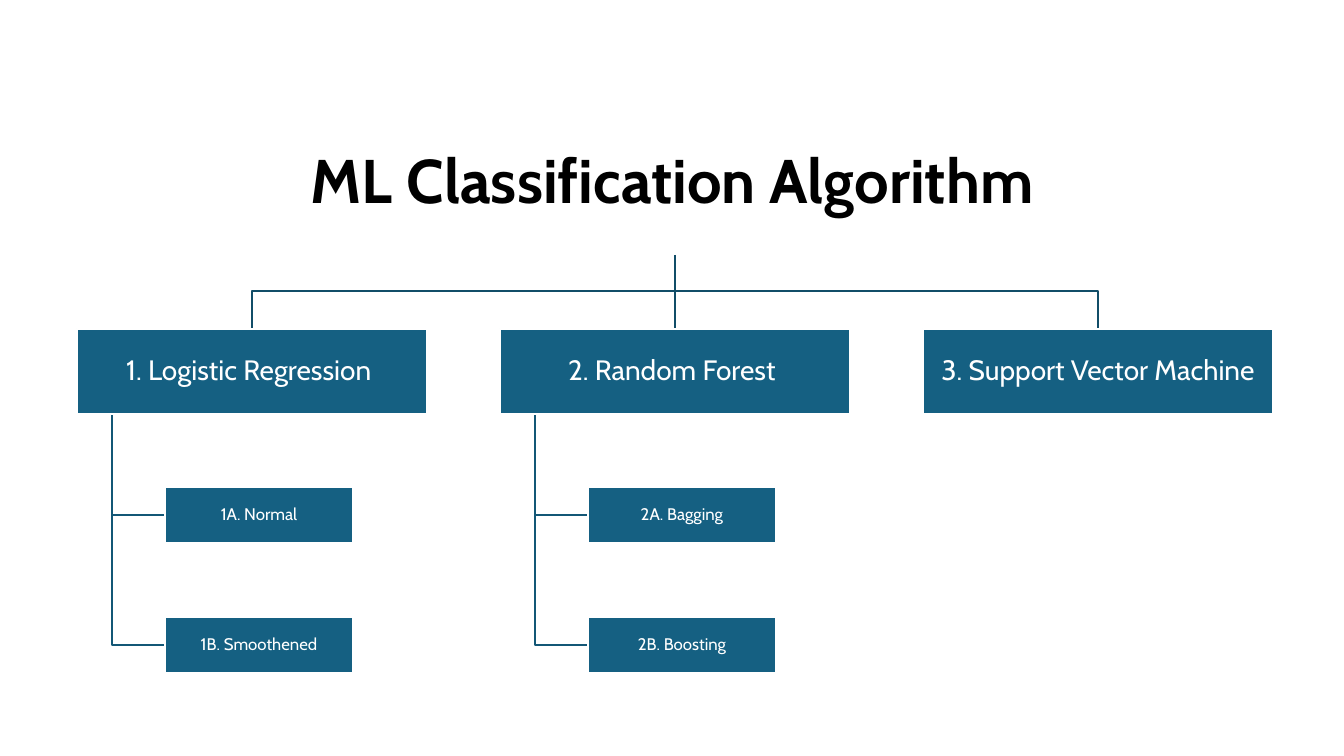
from lxml.etree import SubElement
from pptx import Presentation
from pptx.dml.color import RGBColor
from pptx.enum.shapes import MSO_CONNECTOR as CONNECTOR, MSO_SHAPE as SHAPE
from pptx.enum.text import MSO_ANCHOR as ANCHOR, MSO_AUTO_SIZE as AUTO_SIZE, PP_ALIGN as ALIGN
from pptx.oxml.ns import qn
from pptx.util import Pt

PX = 12192000 / 1344
FONT = "Cabin"
COLORS = {"box": "156082", "white": "FFFFFF", "title": "000000",
          "trunk": "114D68", "twig": "135776"}
BRANCHES = [
    ("1. Logistic Regression ", ["1A. Normal", "1B. Smoothened"]),
    ("2. Random Forest ", ["2A. Bagging", "2B. Boosting"]),
    ("3. Support Vector Machine", []),
]


def px(length):
    """Turn px into EMU."""
    return round(length * PX)


def color(key):
    """Look up a named colour."""
    return RGBColor.from_string(COLORS[key])


def style_line(line, key):
    """Give a line its colour and width."""
    line.color.rgb = color(key)
    line.width = Pt(1.5)


def write(frame, words, size, key, bold, inset):
    """Fill a text frame with one centred paragraph."""
    layout = {"word_wrap": True, "auto_size": AUTO_SIZE.NONE, "vertical_anchor": ANCHOR.MIDDLE}
    for side in ("left", "right", "top", "bottom"):
        layout[f"margin_{side}"] = px(inset)
    for name, value in layout.items():
        setattr(frame, name, value)
    paragraph = frame.paragraphs[0]
    paragraph.alignment = ALIGN.CENTER
    paragraph.line_spacing = 0.9
    run = paragraph.add_run()
    run.text = words
    for name, value in {"name": FONT, "size": Pt(size), "bold": bold}.items():
        setattr(run.font, name, value)
    run.font.color.rgb = color(key)


def add_heading(slide, left, top, width, height):
    """Place the slide title."""
    heading = slide.shapes.title
    for name, value in zip(("left", "top", "width", "height"), (left, top, width, height)):
        setattr(heading, name, px(value))
    write(heading.text_frame, "ML Classification Algorithm", 44, "title", True, 5)


def add_elbow(slide, points, key):
    """Draw an open bent line through the points."""
    builder = slide.shapes.build_freeform(*points[0], scale=PX)
    builder.add_line_segments(points[1:], close=False)
    elbow = builder.convert_to_shape()
    elbow.shadow.inherit = False
    elbow.fill.background()
    style_line(elbow.line, key)


def add_stem(slide, x, top, bottom):
    """Draw the straight line down to the middle branch."""
    stem = slide.shapes.add_connector(CONNECTOR.STRAIGHT, px(x), px(top), px(x), px(bottom))
    SubElement(stem._element.spPr, qn("a:effectLst"))
    style_line(stem.line, "trunk")


def add_node(slide, words, size, left, top, width, height):
    """Draw one labelled box."""
    node = slide.shapes.add_shape(SHAPE.RECTANGLE, px(left), px(top), px(width), px(height))
    node.shadow.inherit = False
    node.fill.solid()
    node.fill.fore_color.rgb = color("box")
    style_line(node.line, "white")
    write(node.text_frame, words, size, "white", False, 1)


def add_branch(slide, words, leaves, left, top, width, height):
    """Draw a branch box with its leaves hanging below."""
    leaf_left, leaf_width, leaf_height = left + 88, 188, 56
    leaf_tops = [top + 158 + 130 * row for row in range(len(leaves))]
    twig_x, bottom = left + 35, top + height
    for leaf_top in leaf_tops:
        middle = leaf_top + leaf_height // 2
        add_elbow(slide, [(twig_x, bottom), (twig_x, middle), (leaf_left, middle)], "twig")
    add_node(slide, words, 20, left, top, width, height)
    for leaf, leaf_top in zip(leaves, leaf_tops):
        add_node(slide, leaf, 12, leaf_left, leaf_top, leaf_width, leaf_height)


def add_tree(slide, left, top, width):
    """Draw the trunk lines and the row of branches."""
    branch_width, branch_top = 350, top + 74
    step = (width - branch_width) // (len(BRANCHES) - 1)
    root, fork = left + width // 2, top + 36
    for column in range(len(BRANCHES)):
        center = left + step * column + branch_width // 2
        if center == root:
            add_stem(slide, root, top, branch_top)
        else:
            route = [(root, top), (root, fork), (center, fork), (center, branch_top)]
            add_elbow(slide, route, "trunk")
    for column, (words, leaves) in enumerate(BRANCHES):
        add_branch(slide, words, leaves, left + step * column, branch_top, branch_width, 85)


def main():
    """Build and save the slide."""
    deck = Presentation()
    deck.slide_width, deck.slide_height = px(1344), px(756)
    slide = deck.slides.add_slide(deck.slide_layouts[5])
    add_tree(slide, 77, 255, 1196)
    add_heading(slide, 93, 111, 1159, 146)
    deck.save("out.pptx")


if __name__ == "__main__":
    main()
